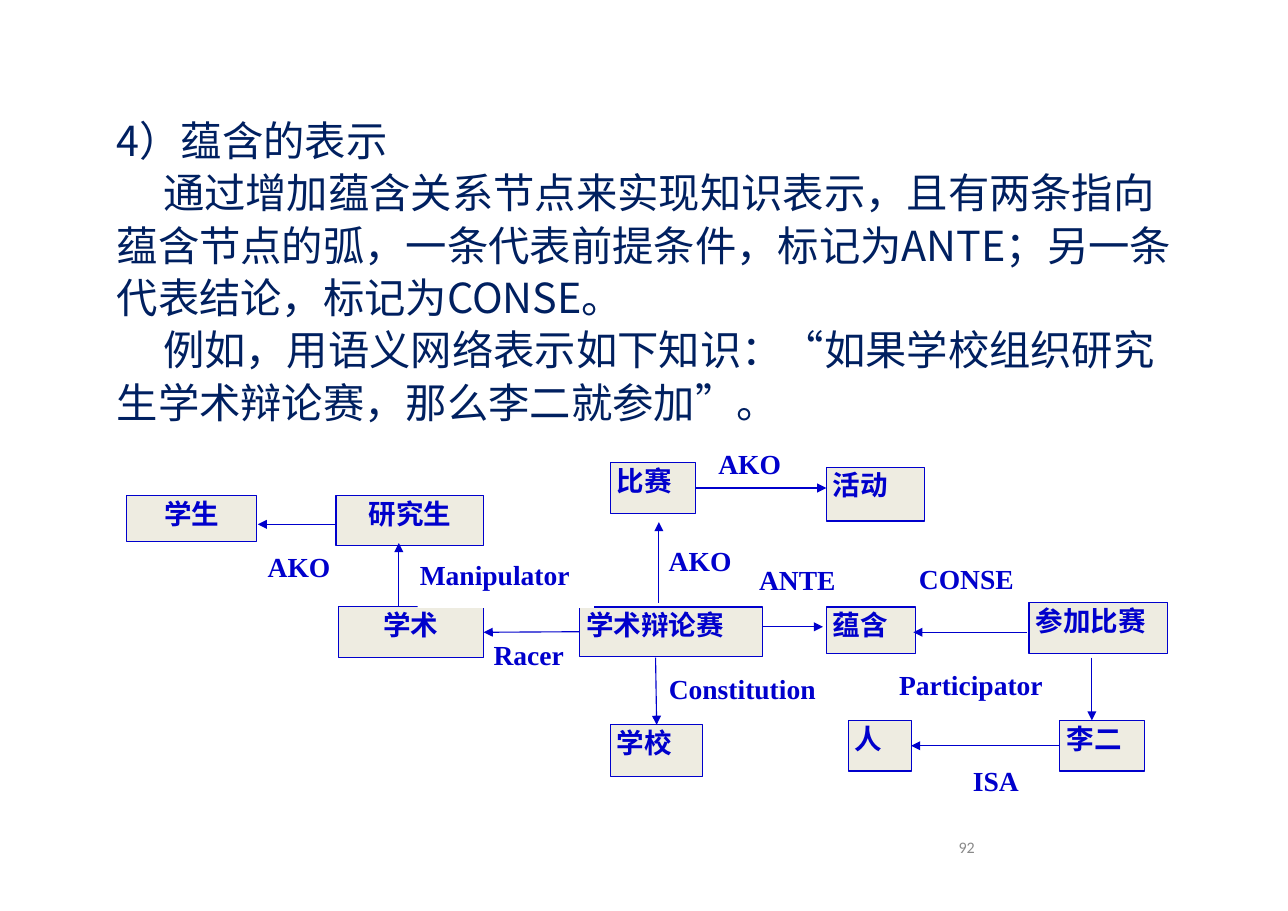
from lxml import etree
from pptx import Presentation
from pptx.dml.color import RGBColor
from pptx.enum.shapes import MSO_CONNECTOR, MSO_SHAPE
from pptx.enum.text import MSO_ANCHOR, PP_ALIGN
from pptx.oxml.ns import qn
from pptx.util import Inches, Pt

RECTANGLE = MSO_SHAPE.RECTANGLE
STRAIGHT = MSO_CONNECTOR.STRAIGHT
TOP_ANCHOR = MSO_ANCHOR.TOP
LEFT = PP_ALIGN.LEFT
CENTER = PP_ALIGN.CENTER
JUSTIFY = PP_ALIGN.JUSTIFY

NAVY = RGBColor(0x00, 0x20, 0x60)
BLUE = RGBColor(0x00, 0x00, 0xCC)
BEIGE = RGBColor(0xEE, 0xEC, 0xE1)
WHITE = RGBColor(0xFF, 0xFF, 0xFF)
GRAY = RGBColor(0x89, 0x89, 0x89)

CHINESE_FONT = "Noto Sans CJK SC"
SERIF_FONT = "Times New Roman"
NUMBER_FONT = "Calibri"

WIDTH, HEIGHT = Inches(11.69), Inches(8.27)
COLUMNS, ROWS = 1169, 827
TOP_SIDE, LEFT_SIDE, RIGHT_SIDE = 0, 1, 3

BODY_AREA = (95, 96, 984, 686)
BODY = [
    ("4）蕴含的表示", 0),
    ("通过增加蕴含关系节点来实现知识表示，且有两条指向蕴含节点的弧，"
     "一条代表前提条件，标记为ANTE；另一条代表结论，标记为CONSE。", 42),
    ("例如，用语义网络表示如下知识：“如果学校组织研究生学术辩论赛，"
     "那么李二就参加”。", 42),
]
NUMBER_AREA = (859, 754, 244, 55)
PAGE_NUMBER = "92"

NODES = {
    "学校": ((554, 658, 84, 47), JUSTIFY),
    "比赛": ((554, 420, 77, 46), JUSTIFY),
    "活动": ((750, 424, 89, 49), JUSTIFY),
    "学术": ((307, 551, 132, 46), CENTER),
    "学术辩论赛": ((526, 551, 166, 45), JUSTIFY),
    "蕴含": ((750, 551, 81, 42), JUSTIFY),
    "参加比赛": ((934, 547, 126, 46), JUSTIFY),
    "学生": ((115, 450, 118, 42), CENTER),
    "研究生": ((305, 450, 134, 45), CENTER),
    "李二": ((962, 654, 77, 46), JUSTIFY),
    "人": ((770, 654, 57, 46), JUSTIFY),
}

ARROWS = [
    (("学术辩论赛", LEFT_SIDE), ("学术", RIGHT_SIDE)),
    ((362, 550), (362, 493)),
    ((598, 547), (598, 474)),
    ((305, 476), (234, 476)),
    ((595, 597), ("学校", TOP_SIDE)),
    ((692, 569), (747, 569)),
    ((932, 574), (829, 574)),
    ((991, 597), (991, 654)),
    (("李二", LEFT_SIDE), ("人", RIGHT_SIDE)),
    (("比赛", RIGHT_SIDE), (750, 443)),
]

LABELS = [
    ("Racer", (446, 578, 74, 39)),
    ("AKO", (241, 498, 86, 37)),
    ("Constitution", (605, 609, 151, 42)),
    ("Manipulator", (379, 506, 160, 46)),
    ("ANTE", (687, 510, 83, 40)),
    ("CONSE", (832, 509, 101, 40)),
    ("ISA", (881, 693, 48, 38)),
    ("AKO", (605, 493, 66, 46)),
    ("AKO", (650, 405, 70, 35)),
    ("Participator", (814, 605, 171, 42)),
]


def across(columns):
    return round(WIDTH * columns / COLUMNS)


def down(rows):
    return round(HEIGHT * rows / ROWS)


def place(area):
    left, top, width, height = area
    return across(left), down(top), across(width), down(height)


def prepare_frame(shape, side, edge):
    frame = shape.text_frame
    frame.word_wrap = True
    frame.vertical_anchor = TOP_ANCHOR
    frame.margin_left = frame.margin_right = across(side)
    frame.margin_top = frame.margin_bottom = down(edge)
    return frame


def write(paragraph, text, size, font, color, bold=False, alignment=LEFT):
    paragraph.alignment = alignment
    run = paragraph.add_run()
    run.text = text
    run.font.size = Pt(size)
    run.font.bold = bold
    run.font.name = font
    run.font.color.rgb = color
    east_asian = etree.SubElement(run._r.get_or_add_rPr(), qn("a:ea"))
    east_asian.set("typeface", CHINESE_FONT)


def add_box(slide, text, area, fill, alignment, side):
    shape = slide.shapes.add_shape(RECTANGLE, *place(area))
    shape.shadow.inherit = False
    shape.fill.solid()
    shape.fill.fore_color.rgb = fill
    frame = prepare_frame(shape, side, 1)
    write(frame.paragraphs[0], text, 18, SERIF_FONT, BLUE, True, alignment)
    return shape


def add_node(slide, text, area, alignment):
    shape = add_box(slide, text, area, BEIGE, alignment, 6)
    shape.line.color.rgb = BLUE
    shape.line.width = Pt(0.75)
    return shape


def add_label(slide, text, area):
    shape = add_box(slide, text, area, WHITE, JUSTIFY, 2)
    shape.line.fill.background()


def add_arrow(slide, start, end, nodes):
    connector = slide.shapes.add_connector(STRAIGHT, 0, 0, 0, 0)
    if start[0] in nodes:
        connector.begin_connect(nodes[start[0]], start[1])
    else:
        connector.begin_x, connector.begin_y = across(start[0]), down(start[1])
    if end[0] in nodes:
        connector.end_connect(nodes[end[0]], end[1])
    else:
        connector.end_x, connector.end_y = across(end[0]), down(end[1])
    connector.line.color.rgb = BLUE
    connector.line.width = Pt(0.75)
    head = etree.SubElement(connector.get_or_add_ln(), qn("a:tailEnd"))
    head.set("type", "triangle")
    etree.SubElement(connector._element.spPr, qn("a:effectLst"))


def add_body(slide):
    frame = prepare_frame(slide.shapes.add_textbox(*place(BODY_AREA)), 11, 6)
    for index, (text, indent) in enumerate(BODY):
        paragraph = frame.add_paragraph() if index else frame.paragraphs[0]
        paragraph.line_spacing = Pt(34.2)
        paragraph._p.get_or_add_pPr().set("indent", str(across(indent)))
        write(paragraph, text, 27, CHINESE_FONT, NAVY)


def main():
    presentation = Presentation()
    presentation.slide_width, presentation.slide_height = WIDTH, HEIGHT
    slide = presentation.slides.add_slide(presentation.slide_layouts[6])
    add_body(slide)
    nodes = {
        text: add_node(slide, text, area, alignment)
        for text, (area, alignment) in NODES.items()
    }
    for start, end in ARROWS:
        add_arrow(slide, start, end, nodes)
    for text, area in LABELS:
        add_label(slide, text, area)
    number = slide.shapes.add_textbox(*place(NUMBER_AREA))
    frame = prepare_frame(number, 11, 6)
    write(frame.paragraphs[0], PAGE_NUMBER, 10.5, NUMBER_FONT, GRAY)
    presentation.save("out.pptx")


if __name__ == "__main__":
    main()
